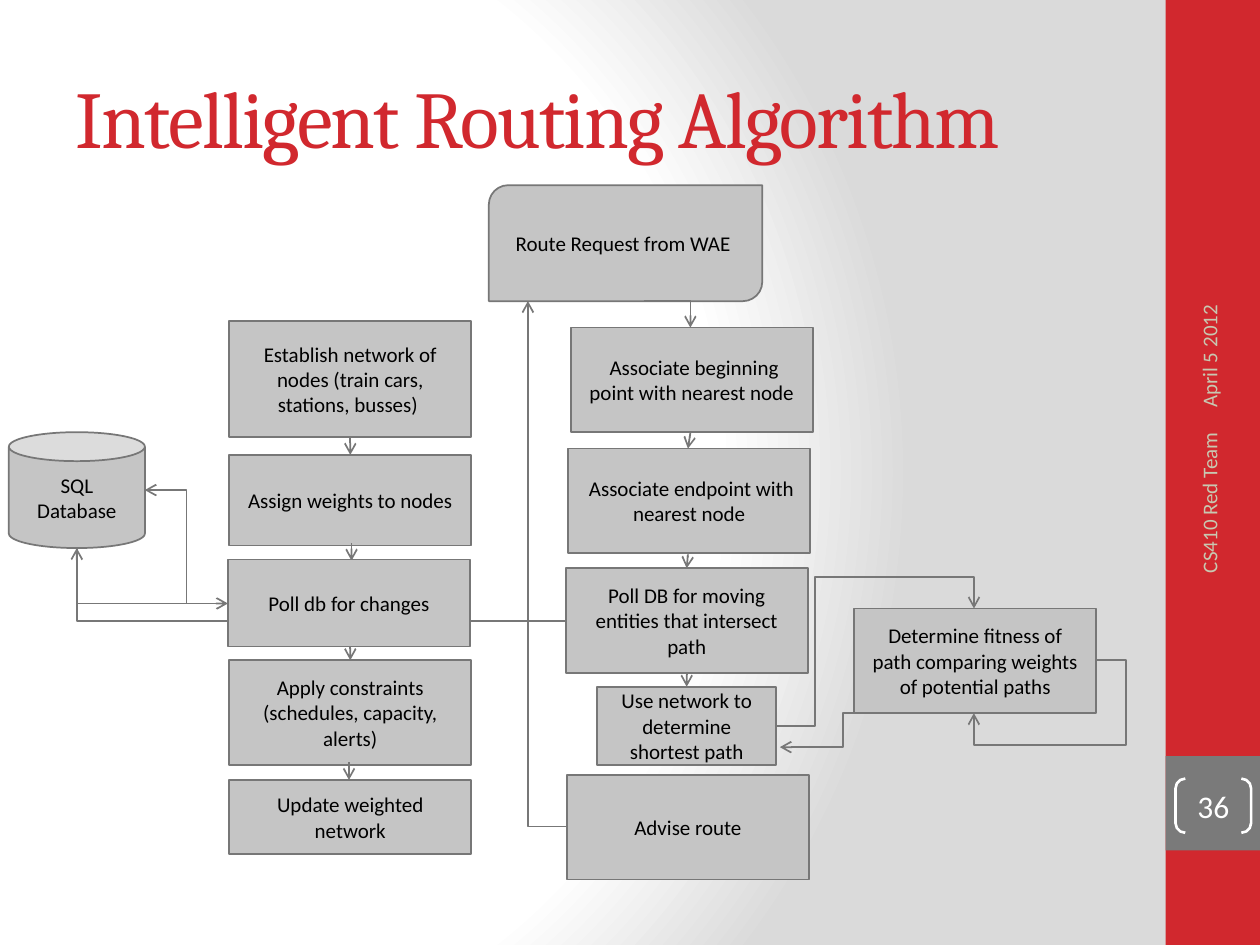
from pptx import Presentation
from pptx.dml.color import RGBColor
from pptx.enum.shapes import MSO_CONNECTOR, MSO_SHAPE
from pptx.enum.text import MSO_ANCHOR, PP_ALIGN
from pptx.oxml import parse_xml
from pptx.oxml.ns import nsdecls, qn
from pptx.util import Inches, Pt

RECT = MSO_SHAPE.RECTANGLE
CAN = MSO_SHAPE.CAN
ROUND_DIAGONAL = MSO_SHAPE.ROUND_2_DIAG_RECTANGLE
BRACKETS = MSO_SHAPE.DOUBLE_BRACKET
STRAIGHT, ELBOW = MSO_CONNECTOR.STRAIGHT, MSO_CONNECTOR.ELBOW
LEFT, CENTER, RIGHT = PP_ALIGN.LEFT, PP_ALIGN.CENTER, PP_ALIGN.RIGHT
MIDDLE = MSO_ANCHOR.MIDDLE

RED = RGBColor(0xD1, 0x28, 0x2E)
DARK_GRAY = RGBColor(0x7A, 0x7A, 0x7A)
LINE_GRAY = RGBColor(0x77, 0x77, 0x77)
BOX_GRAY = RGBColor(0xC5, 0xC5, 0xC5)
SAND = RGBColor(0xC8, 0xC8, 0xB1)
WHITE = RGBColor(0xFF, 0xFF, 0xFF)
BLACK = RGBColor(0, 0, 0)

BACKGROUND = f"""<a:gradFill {nsdecls("a")} rotWithShape="1"><a:gsLst>
<a:gs pos="0"><a:srgbClr val="FFFFFF"/></a:gs>
<a:gs pos="75000"><a:srgbClr val="FFFFFF"/></a:gs>
<a:gs pos="100000"><a:srgbClr val="DADADA"/></a:gs></a:gsLst>
<a:path path="circle"><a:fillToRect l="20000" t="50000" r="100000" b="50000"/></a:path>
</a:gradFill>"""

# Flowchart boxes: left, top, width, height, text
LEFT_COLUMN = [
    (1.82, 2.55, 1.92, 0.92, "Establish network of nodes (train cars, stations, busses) "),
    (1.82, 3.61, 1.92, 0.72, "Assign weights to nodes"),
    (1.82, 5.24, 1.92, 0.83, "Apply constraints\n(schedules, capacity, alerts)"),
    (1.82, 6.19, 1.92, 0.59, "Update weighted network"),
]
RIGHT_COLUMN = [
    (4.53, 2.6, 1.92, 0.83, " Associate beginning point with nearest node"),
    (4.51, 3.56, 1.92, 0.83, " Associate endpoint with nearest node"),
    (4.49, 4.51, 1.92, 0.83, "Poll DB for moving entities that intersect path"),
    (4.74, 5.45, 1.42, 0.62, "Use network to determine shortest path"),
    (4.5, 6.15, 1.92, 0.83, "Advise route"),
    (6.78, 4.83, 1.92, 0.83, "Determine fitness of path comparing weights of potential paths"),
]
STRAIGHT_ARROWS = [
    ((5.48, 3.43), (5.46, 3.56)),
    ((5.46, 4.4), (5.45, 4.51)),
    ((5.45, 5.34), (5.45, 5.45)),
    ((2.78, 3.47), (2.78, 3.61)),
    ((2.79, 4.31), (2.79, 4.45)),
    ((2.78, 5.1), (2.78, 5.24)),
    ((2.77, 6.05), (2.77, 6.19)),
]
# Start, end, number of segments, bend positions as shares of width and height
ELBOW_ARROWS = [
    ((4.5, 6.56), (4.19, 2.39), 2, ()),
    ((5.11, 2.39), (5.48, 2.6), 2, ()),
    ((6.15, 5.76), (7.73, 4.83), 4, (0.2, 1.27)),
    ((8.69, 5.24), (7.73, 5.66), 4, (-0.26, 1.6)),
    ((7.19, 5.66), (6.19, 5.93), 3, (0.5,)),
    ((1.81, 4.79), (1.15, 3.89), 3, (0.5,)),
    ((4.49, 4.93), (0.61, 4.35), 2, ()),
]


class FlowSlide:
    def __init__(self, s, font="Calibri", size=12):
        self.s, self.font, self.size = s, font, size

    def background(self):
        self.s.background.fill.gradient()
        grad = self.s.element.find(".//" + qn("a:gradFill"))
        grad.getparent().replace(grad, parse_xml(BACKGROUND))

    def set_text(self, tf, text, color, align, size=None, font=None):
        tf.text = text
        tf.word_wrap = True
        tf.vertical_anchor = MIDDLE
        for p in tf.paragraphs:
            p.alignment = align
            p.font.name = font or self.font
            p.font.size = Pt(size or self.size)
            p.font.color.rgb = color

    def title(self, x, y, w, h, text):
        sp = self.s.shapes.title
        sp.left, sp.top, sp.width, sp.height = map(Inches, (x, y, w, h))
        self.set_text(sp.text_frame, text, RED, LEFT, 46, "Cambria")
        r = sp.text_frame.paragraphs[0].runs[0]
        r.font._element.set("spc", "-100")

    def side_text(self, x, y, w, h, text, align):
        sp = self.s.shapes.add_textbox(*map(Inches, (x, y, w, h)))
        sp.rotation = 270
        self.set_text(sp.text_frame, text, SAND, align)

    def shape(self, kind, x, y, w, h, fill=None, line=None, line_width=1):
        sp = self.s.shapes.add_shape(kind, *map(Inches, (x, y, w, h)))
        sp.shadow.inherit = False
        if fill is None:
            sp.fill.background()
        else:
            sp.fill.solid()
            sp.fill.fore_color.rgb = fill
        if line is None:
            sp.line.fill.background()
        else:
            sp.line.color.rgb = line
            sp.line.width = Pt(line_width)
        return sp

    def box(self, x, y, w, h, text, kind=RECT):
        sp = self.shape(kind, x, y, w, h, BOX_GRAY, LINE_GRAY)
        self.set_text(sp.text_frame, text, BLACK, CENTER)

    def page_number(self, x, y, w, h, text):
        sp = self.shape(BRACKETS, x, y, w, h, line=WHITE, line_width=1.5)
        sp.adjustments[0] = 0.18
        tf = sp.text_frame
        tf.margin_left = tf.margin_right = tf.margin_top = tf.margin_bottom = 0
        self.set_text(tf, text, WHITE, CENTER, 18)

    def arrow(self, start, end, segments=1, bends=(), arrow_end="tailEnd"):
        """Draw a connector; an elbow leaves its start horizontally."""
        kind = STRAIGHT if segments == 1 else ELBOW
        c = self.s.shapes.add_connector(kind, *map(Inches, start + end))
        c.line.color.rgb = LINE_GRAY
        c.line.width = Pt(1)
        sp_pr = c._element.spPr
        if segments > 1:
            geom = sp_pr.find(qn("a:prstGeom"))
            geom.set("prst", f"bentConnector{segments}")
            guides = geom.get_or_add_avLst()
            for i, bend in enumerate(bends, 1):
                guides.append(parse_xml(
                    f'<a:gd {nsdecls("a")} name="adj{i}" fmla="val {round(bend * 100000)}"/>'))
        sp_pr.find(qn("a:ln")).append(
            parse_xml(f'<a:{arrow_end} {nsdecls("a")} type="arrow"/>'))
        sp_pr.append(parse_xml(f'<a:effectLst {nsdecls("a")}/>'))


def main():
    prs = Presentation()
    prs.slide_width, prs.slide_height = Inches(10), Inches(7.5)
    flow = FlowSlide(prs.slides.add_slide(prs.slide_layouts[5]))

    flow.background()
    flow.shape(RECT, 9.25, 0, 0.75, 7.5, RED)
    flow.shape(RECT, 9.25, 6, 0.75, 0.75, DARK_GRAY)
    flow.title(0.5, 0.3, 8.33, 1.25, "Intelligent Routing Algorithm")
    flow.side_text(8.26, 1.8, 2.67, 0.4, "April 5 2012", LEFT)
    flow.side_text(8.3, 4.43, 2.59, 0.4, "CS410 Red Team", RIGHT)
    flow.page_number(9.33, 6.18, 0.6, 0.43, "36")

    flow.box(0.07, 3.43, 1.08, 0.92, "SQL Database", CAN)
    flow.box(3.88, 1.47, 2.17, 0.92, "Route Request from WAE ", ROUND_DIAGONAL)
    for box in LEFT_COLUMN + RIGHT_COLUMN:
        flow.box(*box)
    for link in STRAIGHT_ARROWS + ELBOW_ARROWS:
        flow.arrow(*link)
    flow.arrow((1.81, 4.79), (0.61, 4.35), 2, arrow_end="headEnd")
    # On top, so that the line from the right column passes behind it
    flow.box(1.81, 4.44, 1.92, 0.69, "Poll db for changes")

    prs.save("out.pptx")


if __name__ == "__main__":
    main()
